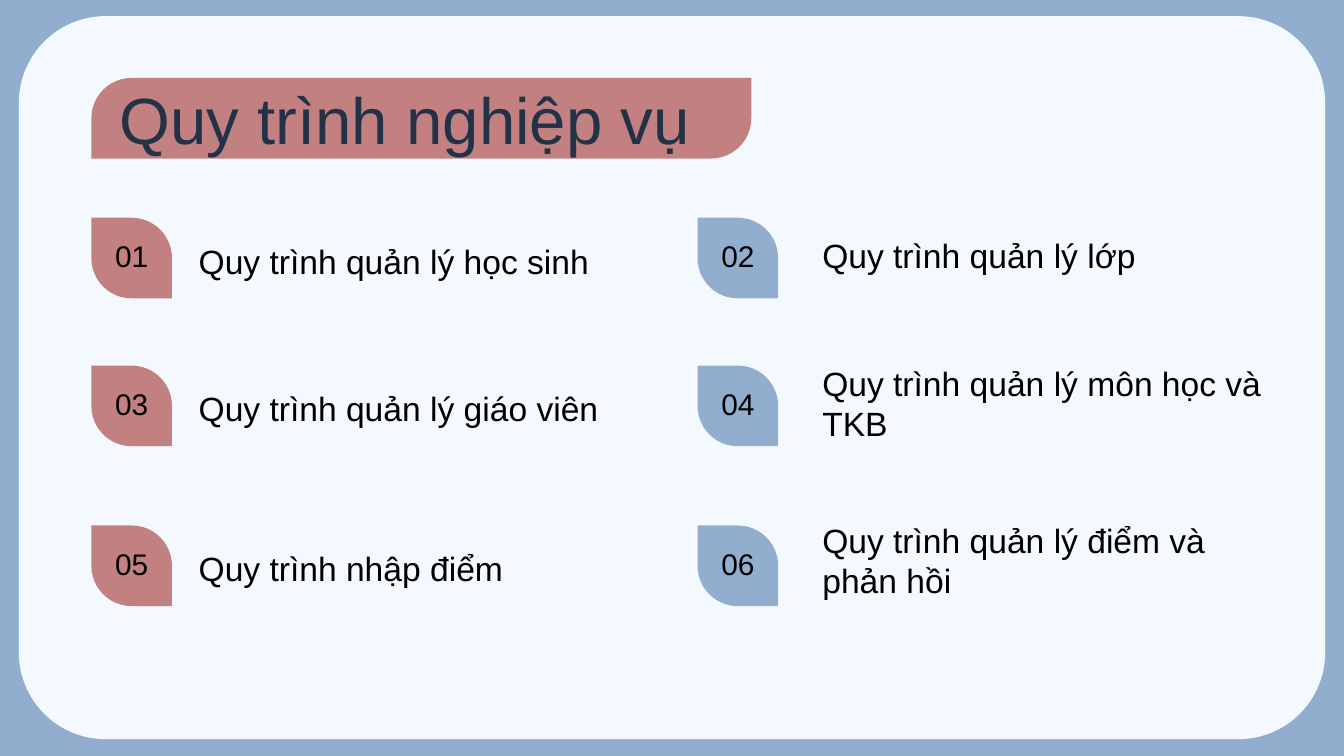
import pptx
import pptx.util
import pptx.dml.color
import pptx.enum.shapes
import pptx.enum.text

Inches = pptx.util.Inches
RGBColor = pptx.dml.color.RGBColor
SHAPE = pptx.enum.shapes.MSO_SHAPE
ANCHOR = pptx.enum.text.MSO_ANCHOR
ALIGN = pptx.enum.text.PP_ALIGN

BLUE = RGBColor(0x92, 0xAE, 0xCE)
ROSE = RGBColor(0xC3, 0x80, 0x80)
PALE = RGBColor(0xF4, 0xF9, 0xFF)
NAVY = RGBColor(0x23, 0x33, 0x47)
BLACK = RGBColor(0, 0, 0)

COLUMNS = [(0.68, 1.38, ROSE), (5.19, 6.02, BLUE)]
ROWS = [
    (1.62, [("Quy trình quản lý học sinh", 1.66), ("Quy trình quản lý lớp", 1.62)]),
    (2.72, [("Quy trình quản lý giáo viên", 2.76), ("Quy trình quản lý môn học và TKB", 2.87)]),
    (3.91, [("Quy trình nhập điểm", 3.95), ("Quy trình quản lý điểm và phản hồi", 4.04)]),
]


def add_panel(slide, kind, box, fill, round_by, turn=0):
    panel = slide.shapes.add_shape(kind, *map(Inches, box))
    panel.shadow.inherit = False
    panel.fill.solid()
    panel.fill.fore_color.rgb = fill
    panel.line.fill.background()
    panel.adjustments[0] = round_by
    panel.rotation = turn


def set_text(shape, text, size, color, anchor, align=ALIGN.LEFT):
    frame = shape.text_frame
    frame.text = text
    frame.word_wrap = True
    frame.auto_size = pptx.enum.text.MSO_AUTO_SIZE.NONE
    frame.vertical_anchor = anchor
    frame.margin_left = frame.margin_right = Inches(0.1)
    frame.margin_top = frame.margin_bottom = Inches(0.1)
    line = frame.paragraphs[0]
    line.alignment = align
    font = line.runs[0].font
    font.name = "Arial"
    font.size = pptx.util.Pt(size)
    font.color.rgb = color


def add_label(slide, box, *style):
    set_text(slide.shapes.add_textbox(*map(Inches, box)), *style)


def add_title(slide, text):
    add_panel(slide, SHAPE.ROUND_2_DIAG_RECTANGLE, (0.68, 0.58, 4.91, 0.6), ROSE, 0.5)
    title = slide.shapes.title
    title.left, title.top = Inches(0.79), Inches(0.49)
    title.width, title.height = Inches(8.43), Inches(0.63)
    set_text(title, text, 35, NAVY, ANCHOR.TOP)
    title.element.getparent().append(title.element)


def add_step(slide, number, column, top, text, text_top):
    left, text_left, color = column
    add_panel(slide, SHAPE.ROUND_2_DIAG_RECTANGLE, (left, top, 0.6, 0.6), color, 0.5, 270)
    add_label(slide, (left - 0.1, top + 0.04, 0.8, 0.49), f"{number:02}", 16, BLACK,
              ANCHOR.MIDDLE, ALIGN.CENTER)
    add_label(slide, (text_left, text_top, 3.52, 0.53), text, 18, BLACK, ANCHOR.BOTTOM)


def main():
    deck = pptx.Presentation()
    deck.slide_width, deck.slide_height = Inches(10), Inches(10 * 9 / 16)
    slide = deck.slides.add_slide(deck.slide_layouts[5])
    slide.background.fill.solid()
    slide.background.fill.fore_color.rgb = BLUE
    add_panel(slide, SHAPE.ROUNDED_RECTANGLE, (0.14, 0.12, 9.72, 5.38), PALE, 0.12)
    add_title(slide, "Quy trình nghiệp vụ")
    number = 0
    for top, steps in ROWS:
        for column, (text, text_top) in zip(COLUMNS, steps):
            number += 1
            add_step(slide, number, column, top, text, text_top)
    deck.save("out.pptx")


if __name__ == "__main__":
    main()
